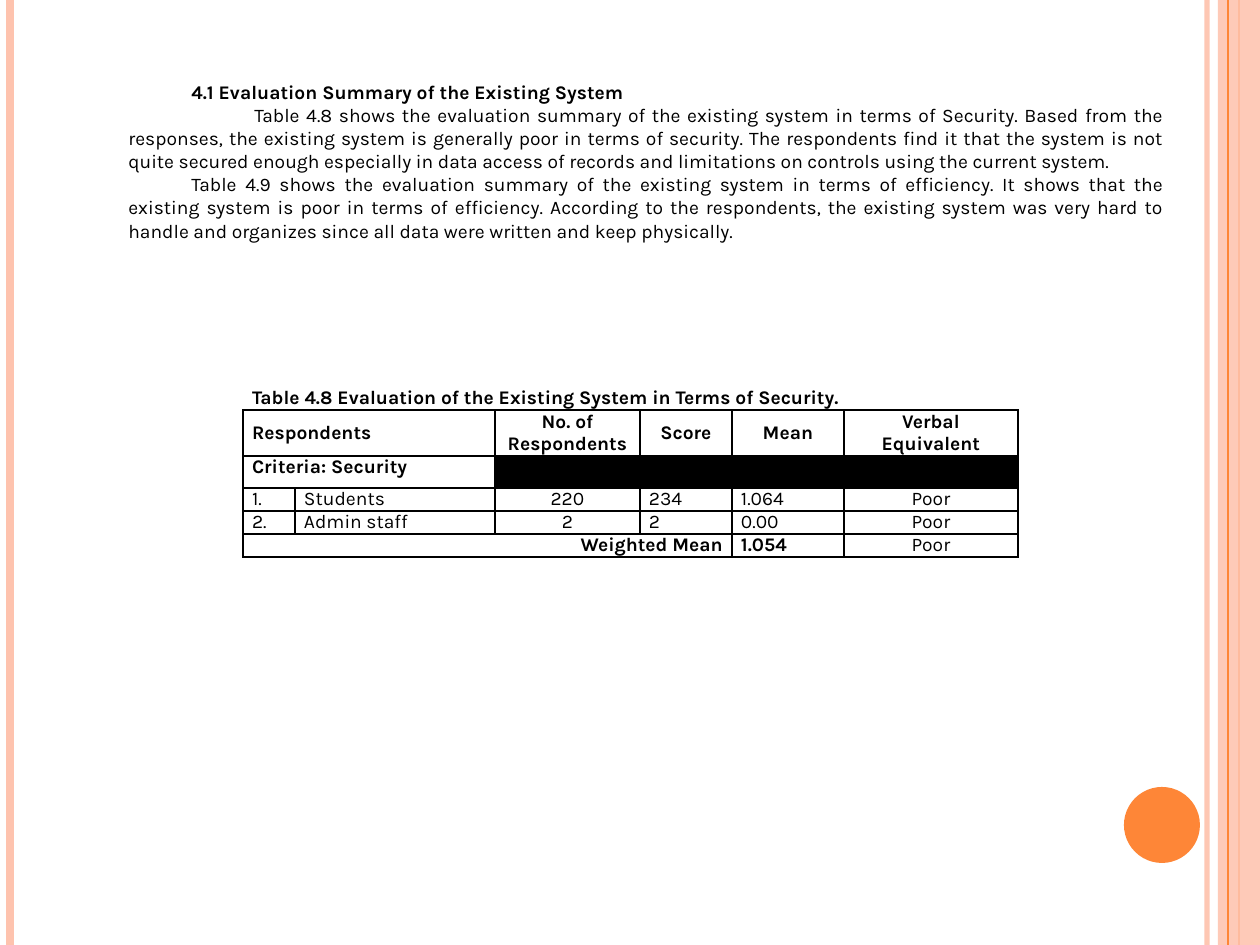
from lxml.etree import SubElement as Sub
from pptx import Presentation
from pptx.dml.color import RGBColor
from pptx.enum.shapes import MSO_CONNECTOR as Conn, MSO_SHAPE as Form
from pptx.enum.text import MSO_ANCHOR as Anchor, PP_ALIGN as Align
from pptx.oxml.ns import qn
from pptx.util import Emu, Pt

BLACK = RGBColor(0, 0, 0)
PEACH = RGBColor(0xFE, 0xC3, 0xAE)
ORANGE = RGBColor(0xFE, 0x86, 0x37)
FONT = "Karla"
WIDE, HIGH = 1260, 945

HEAD = "4.1 Evaluation Summary of the Existing System"
BODY = [
    "\tTable 4.8 shows the evaluation summary of the existing system in terms "
    "of Security. Based from the responses, the existing system is generally "
    "poor in terms of security. The respondents find it that the system is not "
    "quite secured enough especially in data access of records and limitations "
    "on controls using the current system. ",
    "Table 4.9 shows the evaluation summary of the existing system in terms of "
    "efficiency. It shows that the existing system is poor in terms of "
    "efficiency. According to the respondents, the existing system was very "
    "hard to handle and organizes since all data were written and keep "
    "physically. ",
]

# Table: None marks a cell covered by the span to its left
COLS = [52, 200, 145, 92, 112, 174]
ROWS = [23, 46, 32, 23, 23, 23]
CELLS = [
    ["Table 4.8 Evaluation of the Existing System in Terms of Security.",
     None, None, None, None, None],
    ["Respondents", None, "No. of Respondents", "Score", "Mean",
     "Verbal Equivalent"],
    ["Criteria: Security", None, "", "", "", ""],
    ["1.", "Students", "220", "234", "1.064", "Poor"],
    ["2.", "Admin staff", "2", "2", "0.00", "Poor"],
    ["Weighted Mean", None, None, None, "1.054", "Poor"],
]
L, C, R, J = Align.LEFT, Align.CENTER, Align.RIGHT, Align.JUSTIFY
DATA = [J, J, C, L, L, C]
ALIGNS = [[L] * 6, [L, L, C, C, C, C], [J] * 6, DATA, DATA,
          [R, R, R, R, L, C]]
PLAIN = {(r, c) for r in (3, 4) for c in range(6)} | {(5, 5)}


def px(n):
    return Emu(round(n * 914400 / 126))


def box(x, y, w, h):
    return px(x), px(y), px(w), px(h)


def fade(part, pct):
    for clr in part.iter(qn("a:srgbClr")):
        Sub(clr, qn("a:alpha"), val=str(pct * 1000))


def add_run(para, text, bold):
    run = para.add_run()
    run.text = text
    font = run.font
    font.name, font.size, font.bold = FONT, Pt(11), bold
    font.color.rgb = BLACK


def add_rule(slide, x, color, width, pct=100):
    line = slide.shapes.add_connector(Conn.STRAIGHT, px(x), 0, px(x), px(HIGH))
    line.line.color.rgb = color
    line.line.width = Pt(width)
    props = line._element.spPr
    Sub(props, qn("a:effectLst"))
    if pct < 100:
        fade(props, pct)


def add_form(slide, form, x, y, w, h, color, pct=100):
    shape = slide.shapes.add_shape(form, *box(x, y, w, h))
    shape.shadow.inherit = False
    shape.fill.solid()
    shape.fill.fore_color.rgb = color
    shape.line.fill.background()
    if pct < 100:
        fade(shape._element.spPr, pct)


def add_frame(slide):
    add_rule(slide, 1207, PEACH, 3, 93)
    add_rule(slide, 10, PEACH, 4.5)
    add_rule(slide, 1239, ORANGE, 1.5)
    add_form(slide, Form.RECTANGLE, 1218, 0, 42, HIGH, PEACH, 87)
    add_rule(slide, 1228, ORANGE, 0.75)
    add_form(slide, Form.OVAL, 1124, 787, 76, 76, ORANGE)


def add_text(slide, x, y, w, h):
    frame = slide.shapes.add_textbox(*box(x, y, w, h)).text_frame
    frame.word_wrap = True
    frame.vertical_anchor = Anchor.MIDDLE
    for i, text in enumerate([HEAD] + BODY):
        para = frame.add_paragraph() if i else frame.paragraphs[0]
        para.alignment = J
        para._p.get_or_add_pPr().set("indent", str(px(63)))
        add_run(para, text, i == 0)


def add_edges(cell, shown):
    props = cell._tc.get_or_add_tcPr()
    for side in "LRTB":
        edge = Sub(props, qn(f"a:ln{side}"), w=str(Pt(1)))
        if side in shown:
            fill = Sub(edge, qn("a:solidFill"))
            Sub(fill, qn("a:srgbClr"), val=str(BLACK))
        else:
            Sub(edge, qn("a:noFill"))


def add_grid(slide, x, y):
    shape = slide.shapes.add_table(
        len(ROWS), len(COLS), *box(x, y, sum(COLS), sum(ROWS)))
    table = shape.table
    table.first_row = table.horz_banding = False
    for col, w in zip(table.columns, COLS):
        col.width = px(w)
    for row, h in zip(table.rows, ROWS):
        row.height = px(h)
    for r, texts in enumerate(CELLS):
        for c, text in enumerate(texts):
            cell = table.cell(r, c)
            cell.margin_left = cell.margin_right = px(9)
            cell.margin_top = cell.margin_bottom = 0
            cell.vertical_anchor = Anchor.MIDDLE if r == 1 else Anchor.TOP
            add_edges(cell, "LRTB" if r else "B")
            if text == "":
                cell.fill.solid()
                cell.fill.fore_color.rgb = BLACK
            else:
                cell.fill.background()
            para = cell.text_frame.paragraphs[0]
            para.alignment = ALIGNS[r][c]
            if text:
                add_run(para, text, (r, c) not in PLAIN)
            else:
                Sub(para._p, qn("a:endParaRPr"), sz="1100")
        # Join each text cell with the covered cells after it
        starts = [c for c, text in enumerate(texts) if text is not None]
        for a, b in zip(starts, starts[1:] + [len(texts)]):
            if b - a > 1:
                table.cell(r, a).merge(table.cell(r, b - 1))


def main():
    deck = Presentation()
    deck.slide_width, deck.slide_height = px(WIDE), px(HIGH)
    slide = deck.slides.add_slide(deck.slide_layouts[6])
    add_frame(slide)
    add_grid(slide, 243, 387)
    add_text(slide, 116, 73, 1061, 176)
    deck.save("out.pptx")


if __name__ == "__main__":
    main()
